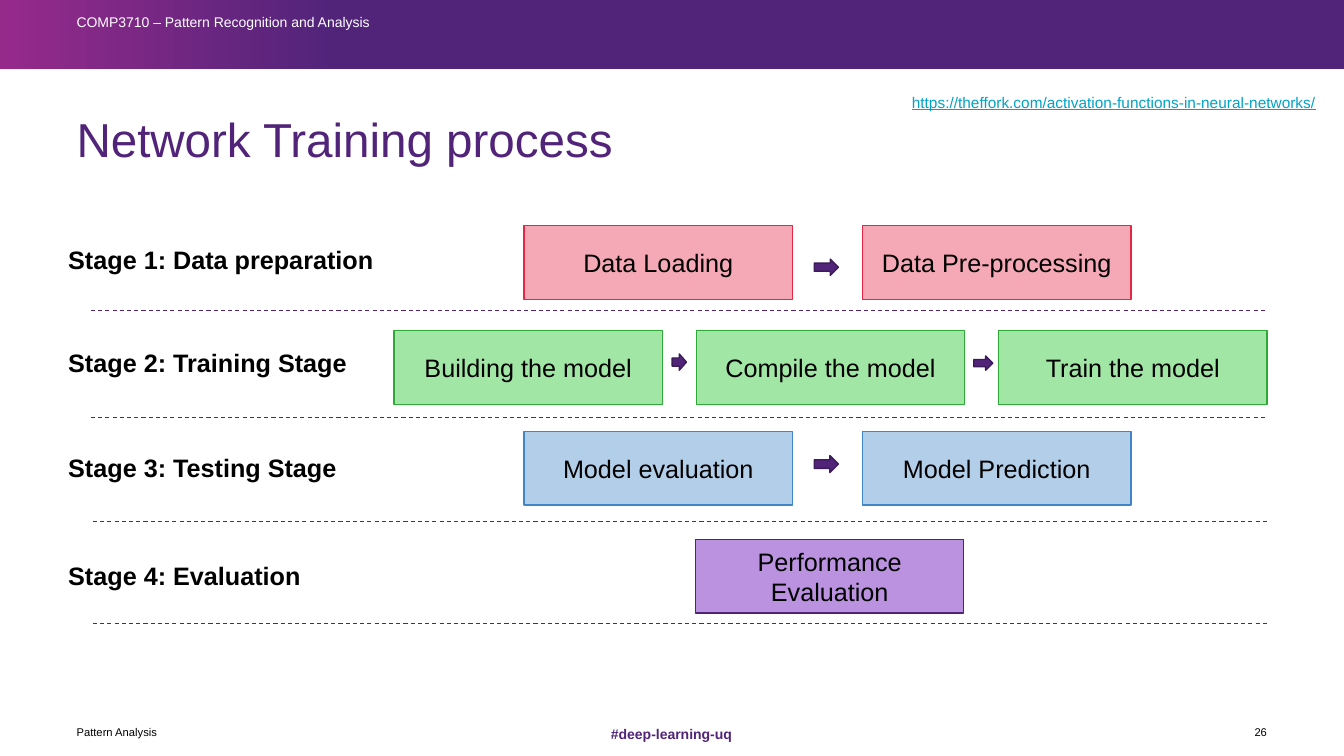
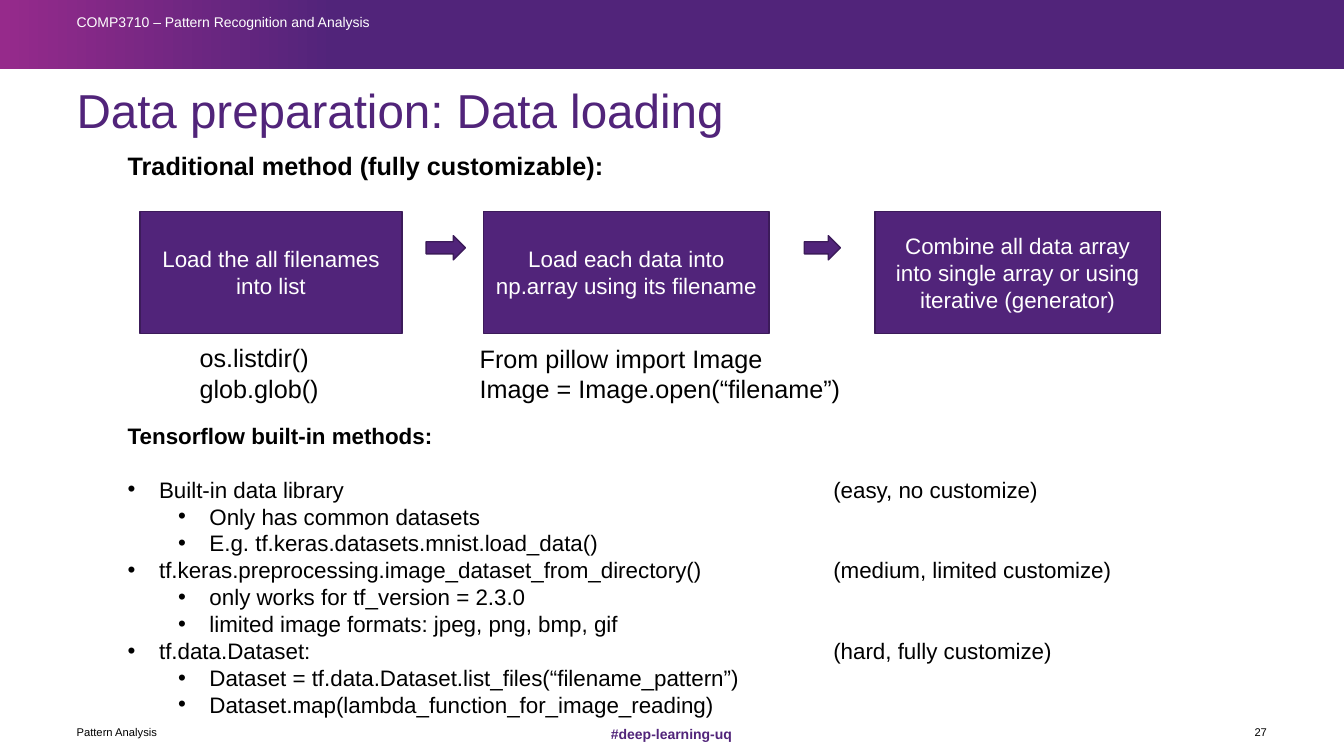
from dataclasses import dataclass

from lxml import etree
from pptx import Presentation
from pptx.dml.color import RGBColor
from pptx.enum.dml import MSO_LINE
from pptx.enum.shapes import MSO_CONNECTOR, MSO_SHAPE
from pptx.enum.text import MSO_ANCHOR, PP_ALIGN
from pptx.oxml.ns import qn
from pptx.util import Cm, Pt

RECTANGLE = MSO_SHAPE.RECTANGLE
RIGHT_ARROW = MSO_SHAPE.RIGHT_ARROW
STRAIGHT = MSO_CONNECTOR.STRAIGHT
DASH = MSO_LINE.DASH
TOP, MIDDLE = MSO_ANCHOR.TOP, MSO_ANCHOR.MIDDLE
LEFT, CENTER, RIGHT = PP_ALIGN.LEFT, PP_ALIGN.CENTER, PP_ALIGN.RIGHT

FONT = "Arial"
COLORS = {
    "purple": "51247A",
    "dark_purple": "3C1B5A",
    "magenta": "962A8B",
    "black": "000000",
    "white": "FFFFFF",
    "link": "00A2C7",
    "red": "E62645",
    "pale_red": "F5A8B5",
    "green": "2EA836",
    "pale_green": "A2E6A6",
    "blue": "4085C6",
    "pale_blue": "B3CEE8",
    "pale_purple": "BA92DF",
}

SLIDE_WIDTH, SLIDE_HEIGHT = 33.87, 19.05
MARGIN = 1.93
CONTENT_WIDTH = 30


@dataclass(frozen=True)
class Area:
    left: float
    top: float
    width: float
    height: float

    def lengths(self) -> tuple:
        return Cm(self.left), Cm(self.top), Cm(self.width), Cm(self.height)


@dataclass(frozen=True)
class TextStyle:
    size: float
    color: str = "black"
    bold: bool = False
    underline: bool = False
    align: PP_ALIGN = LEFT
    anchor: MSO_ANCHOR = TOP
    line_spacing: float = 1.0
    inset: bool = True


@dataclass(frozen=True)
class Stage:
    label: str
    label_top: float
    steps: tuple
    first_left: float
    pitch: float
    top: float
    fill: str
    line: str
    arrows: tuple
    separator_left: float
    separator_top: float


@dataclass(frozen=True)
class Method:
    name: str
    effort: str
    details: tuple


TITLE = TextStyle(34, "purple", anchor=MIDDLE, line_spacing=0.9, inset=False)
COURSE = TextStyle(10, "white", line_spacing=0.8, inset=False)
HASHTAG = TextStyle(10, "purple", bold=True, align=CENTER, anchor=MIDDLE,
                    line_spacing=1.1, inset=False)
FOOTER = TextStyle(8, anchor=MIDDLE, inset=False)
PAGE_NUMBER = TextStyle(8, align=RIGHT, anchor=MIDDLE, inset=False)
LINK = TextStyle(11, "link", underline=True)
HEADING = TextStyle(18, bold=True)
CODE = TextStyle(18)
STEP = TextStyle(18, align=CENTER, anchor=MIDDLE)
LOADING_STEP = TextStyle(16, "white", align=CENTER, anchor=MIDDLE)
METHOD_HEADING = TextStyle(16, bold=True)
METHOD = TextStyle(16)

STEP_WIDTH, STEP_HEIGHT = 6.76, 1.86
SEPARATOR_LENGTH = 29.64
BULLET_HANG = 0.79
LEVEL_INDENT = 1.27
EFFORT_TAB = 17.78

STAGES = (
    Stage("Stage 1: Data preparation", 6.02, ("Data Loading", "Data Pre-processing"),
          13.21, 8.53, 5.69, "pale_red", "red",
          (Area(20.52, 6.53, 0.61, 0.41),), 2.29, 7.82),
    Stage("Stage 2: Training Stage", 8.64,
          ("Building the model", "Compile the model", "Train the model"),
          9.93, 7.62, 8.33, "pale_green", "green",
          (Area(16.94, 8.92, 0.36, 0.41), Area(24.54, 8.97, 0.48, 0.36)), 2.29, 10.52),
    Stage("Stage 3: Testing Stage", 11.28, ("Model evaluation", "Model Prediction"),
          13.21, 8.53, 10.87, "pale_blue", "blue",
          (Area(20.52, 11.48, 0.61, 0.43),), 2.34, 13.13),
    Stage("Stage 4: Evaluation", 14.0, ("Performance Evaluation",),
          17.53, 0, 13.59, "pale_purple", "purple", (), 2.34, 15.72),
)

LOADING_STEPS = (
    ("Load the all filenames into list", Area(3.53, 5.33, 6.6, 3.07)),
    ("Load each data into np.array using its filename", Area(12.19, 5.33, 7.19, 3.07)),
    ("Combine all data array into single array or using iterative (generator)",
     Area(22.05, 5.33, 7.19, 3.07)),
)
LOADING_ARROWS = (Area(10.74, 5.94, 0.99, 0.61), Area(20.27, 5.94, 0.91, 0.61))
LOADING_CODE = (
    (("os.listdir()", "glob.glob()"), Area(4.78, 8.51, 4.2, 1.8)),
    (("From pillow import Image", "Image = Image.open(“filename”)"),
     Area(11.84, 8.53, 10, 1.8)),
)
METHODS = (
    Method("Built-in data library", "(easy, no customize)",
           ("Only has common datasets", "E.g. tf.keras.datasets.mnist.load_data()")),
    Method("tf.keras.preprocessing.image_dataset_from_directory()",
           "(medium, limited customize)",
           ("only works for tf_version = 2.3.0", "limited image formats: jpeg, png, bmp, gif")),
    Method("tf.data.Dataset:", "(hard, fully customize)",
           ("Dataset = tf.data.Dataset.list_files(“filename_pattern”)",
            "Dataset.map(lambda_function_for_image_reading)")),
)


def rgb(name: str) -> RGBColor:
    return RGBColor.from_string(COLORS[name])


def style_paragraph(paragraph, style: TextStyle) -> None:
    paragraph.alignment = style.align
    if style.line_spacing != 1.0:
        paragraph.line_spacing = style.line_spacing
    font = paragraph.font
    font.name = FONT
    font.size = Pt(style.size)
    font.bold = style.bold
    font.underline = style.underline
    font.color.rgb = rgb(style.color)


def write_text(shape, lines: tuple, style: TextStyle) -> None:
    frame = shape.text_frame
    frame.word_wrap = True
    frame.vertical_anchor = style.anchor
    if not style.inset:
        frame.margin_left = frame.margin_right = 0
        frame.margin_top = frame.margin_bottom = 0
    for index, line in enumerate(lines):
        paragraph = frame.add_paragraph() if index else frame.paragraphs[0]
        paragraph.text = line
        style_paragraph(paragraph, style)


def add_text(slide, area: Area, style: TextStyle, *lines: str):
    text_box = slide.shapes.add_textbox(*area.lengths())
    write_text(text_box, lines, style)
    return text_box


def add_filled_shape(slide, kind: MSO_SHAPE, area: Area, fill: str, line: str):
    shape = slide.shapes.add_shape(kind, *area.lengths())
    shape.shadow.inherit = False
    shape.fill.solid()
    shape.fill.fore_color.rgb = rgb(fill)
    shape.line.color.rgb = rgb(line)
    shape.line.width = Pt(1)
    return shape


def add_step(slide, area: Area, text: str, style: TextStyle, fill: str, line: str) -> None:
    write_text(add_filled_shape(slide, RECTANGLE, area, fill, line), (text,), style)


def add_arrow(slide, area: Area) -> None:
    add_filled_shape(slide, RIGHT_ARROW, area, "purple", "dark_purple")


def add_separator(slide, left: float, top: float) -> None:
    connector = slide.shapes.add_connector(
        STRAIGHT, Cm(left), Cm(top), Cm(left + SEPARATOR_LENGTH), Cm(top))
    connector.line.color.rgb = rgb("purple")
    connector.line.width = Pt(0.75)
    connector.line.dash_style = DASH
    etree.SubElement(connector.element.spPr, qn("a:effectLst"))


def add_band(slide) -> None:
    band = slide.shapes.add_shape(RECTANGLE, *Area(0, 0, SLIDE_WIDTH, 1.75).lengths())
    band.shadow.inherit = False
    band.line.fill.background()
    band.fill.gradient()
    band.fill.gradient_angle = 0
    stops = ((0, "magenta"), (0.25, "purple"))
    for stop, (position, color) in zip(band.fill.gradient_stops, stops):
        stop.position = position
        stop.color.rgb = rgb(color)


def add_course_slide(presentation, title: str, title_top: float, number: int):
    slide = presentation.slides.add_slide(presentation.slide_layouts[6])
    add_band(slide)
    add_text(slide, Area(12.22, 18.14, 9.4, 0.66), HASHTAG, "#deep-learning-uq")
    add_text(slide, Area(MARGIN, 18.11, 9.32, 0.66), FOOTER, "Pattern Analysis")
    add_text(slide, Area(31.14, 18.11, 0.79, 0.66), PAGE_NUMBER, str(number))
    add_text(slide, Area(MARGIN, 0.43, 14.6, 0.66), COURSE,
             "COMP3710 – Pattern Recognition and Analysis")
    add_text(slide, Area(MARGIN, title_top, CONTENT_WIDTH, 1.3), TITLE, title)
    return slide


def add_stage(slide, stage: Stage) -> None:
    add_text(slide, Area(1.47, stage.label_top, 8.46, 1.02), HEADING, stage.label)
    for index, step in enumerate(stage.steps):
        left = stage.first_left + index * stage.pitch
        add_step(slide, Area(left, stage.top, STEP_WIDTH, STEP_HEIGHT), step, STEP,
                 stage.fill, stage.line)
    for arrow in stage.arrows:
        add_arrow(slide, arrow)
    add_separator(slide, stage.separator_left, stage.separator_top)


def add_bullet(frame, text: str, level: int):
    paragraph = frame.add_paragraph()
    paragraph.text = text
    paragraph.level = level
    properties = paragraph._p.get_or_add_pPr()
    properties.set("marL", str(Cm(BULLET_HANG + level * LEVEL_INDENT)))
    properties.set("indent", str(-Cm(BULLET_HANG)))
    etree.SubElement(properties, qn("a:buFont"), typeface=FONT)
    etree.SubElement(properties, qn("a:buChar"), char="•")
    if level == 0:
        tabs = etree.SubElement(properties, qn("a:tabLst"))
        etree.SubElement(tabs, qn("a:tab"), pos=str(Cm(EFFORT_TAB)), algn="l")
    style_paragraph(paragraph, METHOD)
    return paragraph


def add_methods(slide) -> None:
    text_box = add_text(slide, Area(2.97, 10.52, 28.63, 7.9), METHOD_HEADING,
                        "Tensorflow built-in methods:")
    frame = text_box.text_frame
    for index, method in enumerate(METHODS):
        paragraph = add_bullet(frame, f"{method.name}\t{method.effort}", 0)
        if index == 0:
            paragraph.space_before = Pt(19)
        for detail in method.details:
            add_bullet(frame, detail, 1)


def build_training_slide(presentation) -> None:
    slide = add_course_slide(presentation, "Network Training process", 2.92, 26)
    add_text(slide, Area(22.73, 2.21, 11.1, 0.73), LINK,
             "https://theffork.com/activation-functions-in-neural-networks/")
    for stage in STAGES:
        add_stage(slide, stage)


def build_loading_slide(presentation) -> None:
    slide = add_course_slide(presentation, "Data preparation: Data loading", 2.21, 27)
    add_text(slide, Area(2.97, 3.66, 13, 1.02), HEADING,
             "Traditional method (fully customizable):")
    for text, area in LOADING_STEPS:
        add_step(slide, area, text, LOADING_STEP, "purple", "dark_purple")
    for arrow in LOADING_ARROWS:
        add_arrow(slide, arrow)
    for lines, area in LOADING_CODE:
        add_text(slide, area, CODE, *lines)
    add_methods(slide)


def main() -> None:
    presentation = Presentation()
    presentation.slide_width = Cm(SLIDE_WIDTH)
    presentation.slide_height = Cm(SLIDE_HEIGHT)
    build_training_slide(presentation)
    build_loading_slide(presentation)
    presentation.save("out.pptx")


if __name__ == "__main__":
    main()
